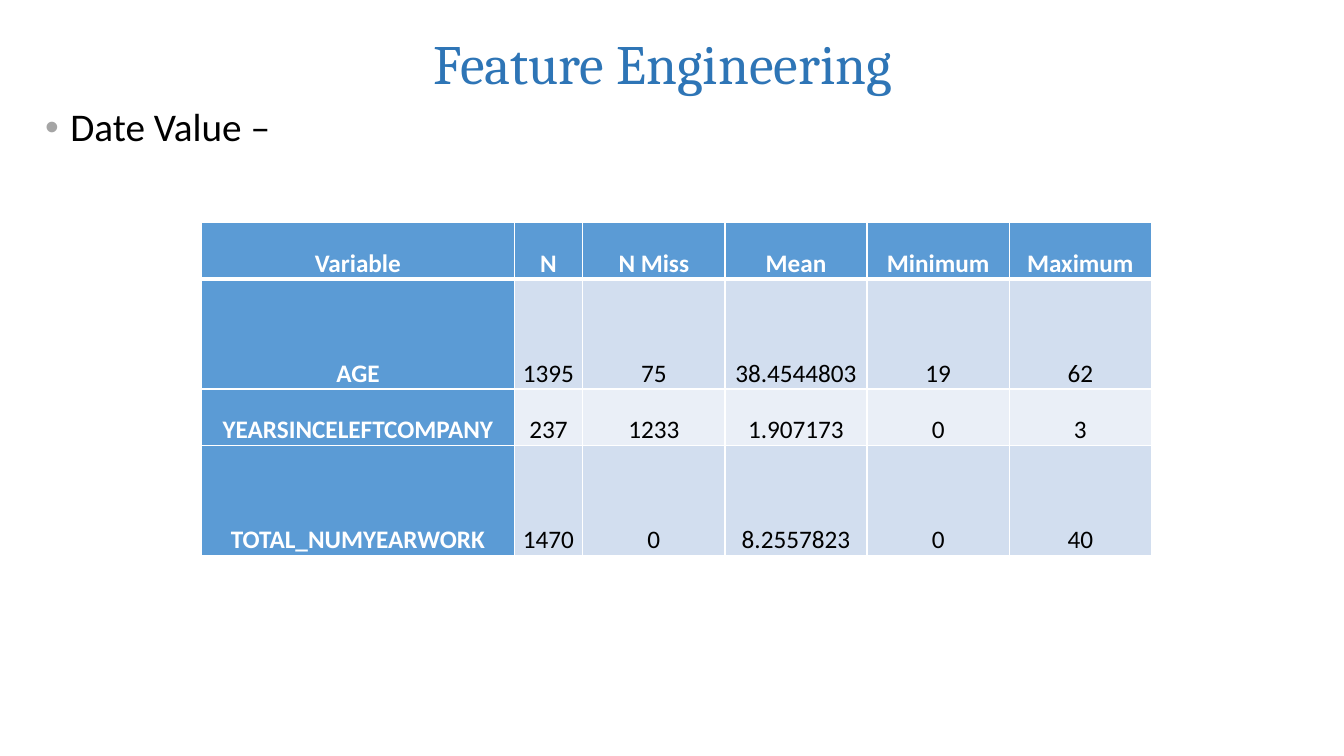
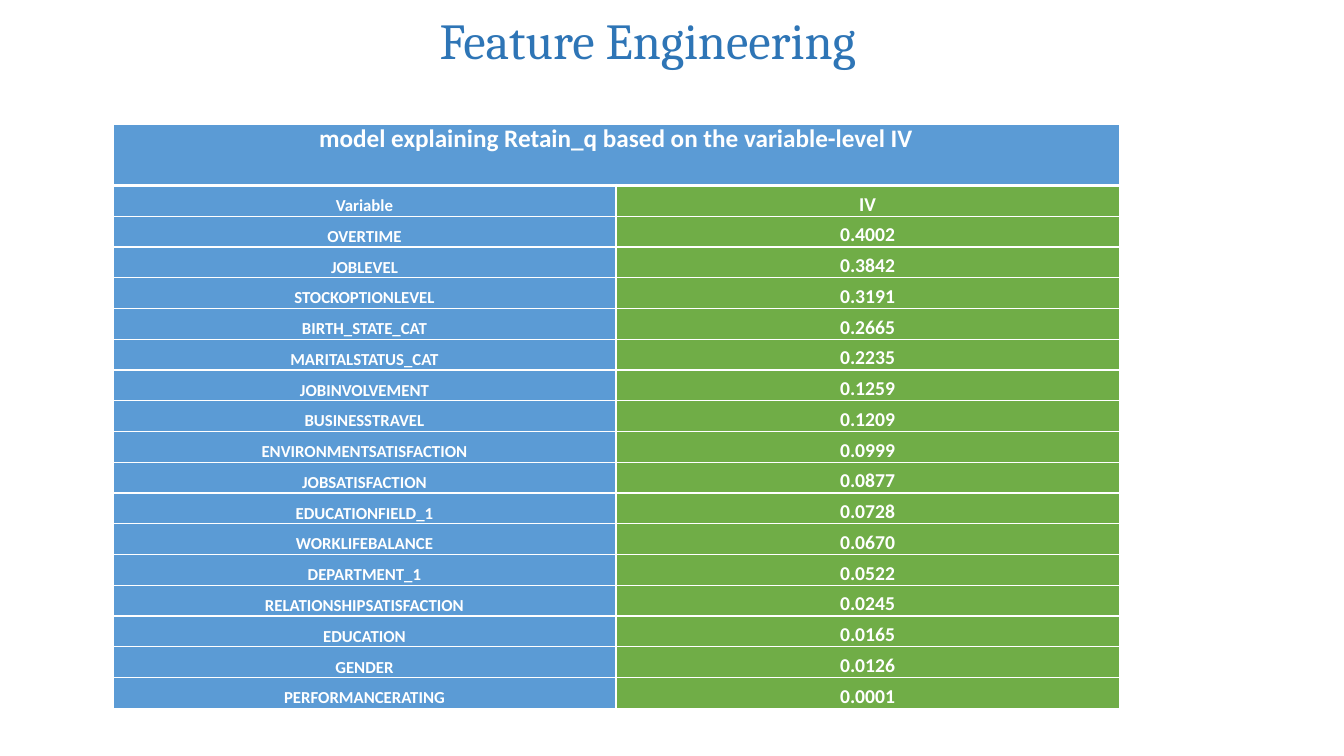
import pptx
import pptx.dml.color
import pptx.enum.text
import pptx.oxml
import pptx.oxml.ns
import pptx.util
from lxml import etree

Inches = pptx.util.Inches
Pt = pptx.util.Pt
Anchor = pptx.enum.text.MSO_ANCHOR
CENTER = pptx.enum.text.PP_ALIGN.CENTER

COLORS = {
    "title": "2E75B6",
    "text": "000000",
    "white": "FFFFFF",
    "bullet": "A5A5A5",
    "blue": "5B9BD5",
    "green": "70AD47",
    "band_dark": "D2DEEF",
    "band_light": "EAEFF7",
}
TITLE = "Feature Engineering"
STATISTICS = [
    ("Variable", "N", "N Miss", "Mean", "Minimum", "Maximum"),
    ("AGE", "1395", "75", "38.4544803", "19", "62"),
    ("YEARSINCELEFTCOMPANY", "237", "1233", "1.907173", "0", "3"),
    ("TOTAL_NUMYEARWORK", "1470", "0", "8.2557823", "0", "40"),
]
INFORMATION_VALUES = [
    ("Variable", "IV"),
    ("OVERTIME", "0.4002"),
    ("JOBLEVEL", "0.3842"),
    ("STOCKOPTIONLEVEL", "0.3191"),
    ("BIRTH_STATE_CAT", "0.2665"),
    ("MARITALSTATUS_CAT", "0.2235"),
    ("JOBINVOLVEMENT", "0.1259"),
    ("BUSINESSTRAVEL", "0.1209"),
    ("ENVIRONMENTSATISFACTION", "0.0999"),
    ("JOBSATISFACTION", "0.0877"),
    ("EDUCATIONFIELD_1", "0.0728"),
    ("WORKLIFEBALANCE", "0.0670"),
    ("DEPARTMENT_1", "0.0522"),
    ("RELATIONSHIPSATISFACTION", "0.0245"),
    ("EDUCATION", "0.0165"),
    ("GENDER", "0.0126"),
    ("PERFORMANCERATING", "0.0001"),
]


def set_values(target, values):
    """Set each named attribute of the target."""
    for name, value in values.items():
        setattr(target, name, value)


def rgb(name):
    """Return the named colour."""
    return pptx.dml.color.RGBColor.from_string(COLORS[name])


def write_text(paragraph, text, size, color, font="Calibri", bold=False, **layout):
    """Write one formatted run and lay out its paragraph."""
    run = paragraph.add_run()
    run.text = text
    set_values(run.font, {"name": font, "size": Pt(size), "bold": bold})
    run.font.color.rgb = rgb(color)
    set_values(paragraph, layout)


def add_titled_slide(presentation, box, size):
    """Add a title-only slide with the shared title style."""
    slide = presentation.slides.add_slide(presentation.slide_layouts[5])
    title = slide.shapes.title
    place = zip(("left", "top", "width", "height"), map(Inches, box))
    set_values(title, dict(place))
    set_values(title.text_frame, {
        "vertical_anchor": Anchor.MIDDLE,
        "auto_size": pptx.enum.text.MSO_AUTO_SIZE.NONE,
        "word_wrap": True,
    })
    write_text(title.text_frame.paragraphs[0], TITLE, size, "title", "Cambria",
               alignment=CENTER, line_spacing=0.9)
    return slide


def add_bullet(slide, box, text):
    """Add a text box with one bulleted paragraph."""
    shape = slide.shapes.add_textbox(*map(Inches, box))
    shape.text_frame.word_wrap = True
    paragraph = shape.text_frame.paragraphs[0]
    write_text(paragraph, text, 28, "text", line_spacing=0.9)
    properties = paragraph._p.get_or_add_pPr()
    properties.set("marL", str(Inches(0.25)))
    properties.set("indent", str(Inches(-0.25)))
    namespace = pptx.oxml.ns.nsdecls("a")
    for markup in (
        f'<a:buClr {namespace}><a:srgbClr val="{COLORS["bullet"]}"/></a:buClr>',
        f'<a:buFont {namespace} typeface="Arial"/>',
        f'<a:buChar {namespace} char="•"/>',
    ):
        properties.append(pptx.oxml.parse_xml(markup))


def set_borders(cell, top, bottom):
    """Draw white borders around a cell."""
    properties = cell._tc.get_or_add_tcPr()
    for side, width in (("L", 1), ("R", 1), ("T", top), ("B", bottom)):
        line = etree.SubElement(properties, pptx.oxml.ns.qn(f"a:ln{side}"), w=str(Pt(width)))
        fill = etree.SubElement(line, pptx.oxml.ns.qn("a:solidFill"))
        etree.SubElement(fill, pptx.oxml.ns.qn("a:srgbClr"), val=COLORS["white"])


def add_grid(slide, position, widths, heights, margin):
    """Add a table with white rules and a heavy line below its first row."""
    frame = slide.shapes.add_table(
        len(heights), len(widths), *map(Inches, (*position, sum(widths), sum(heights))))
    table = frame.table
    table.horz_banding = False
    for column, width in zip(table.columns, widths):
        column.width = Inches(width)
    for index, (row, height) in enumerate(zip(table.rows, heights)):
        row.height = Inches(height)
        for cell in row.cells:
            set_values(cell, {
                "margin_left": Inches(margin),
                "margin_right": Inches(margin),
                "margin_top": 0,
                "margin_bottom": 0,
                "vertical_anchor": Anchor.BOTTOM,
            })
            set_borders(cell, 3 if index == 1 else 1, 3 if index == 0 else 1)
    return table


def fill_cell(cell, text, fill, size, color="white", bold=True, spacing=1.07):
    """Fill a cell with colour and centred text."""
    cell.fill.solid()
    cell.fill.fore_color.rgb = rgb(fill)
    write_text(cell.text_frame.paragraphs[0], text, size, color, bold=bold,
               alignment=CENTER, line_spacing=spacing)


def add_statistics_table(slide):
    """Add the summary statistics of the date variables."""
    table = add_grid(slide, (2, 2.21), [3.1, 0.68] + [1.41] * 4,
                     [0.56, 1.09, 0.56, 1.09], 0.07)
    for row, values in enumerate(STATISTICS):
        band = "band_dark" if row % 2 else "band_light"
        for column, text in enumerate(values):
            if row == 0 or column == 0:
                fill_cell(table.cell(row, column), text, "blue", 18)
            else:
                fill_cell(table.cell(row, column), text, band, 18, "text", False)


def add_information_table(slide):
    """Add the information value of each variable."""
    header_height = 0.61
    count = len(INFORMATION_VALUES)
    row_height = (5.8 - header_height) / count
    table = add_grid(slide, (1.12, 1.23), [4.99] * 2,
                     [header_height] + [row_height] * count, 0.03)
    header = table.cell(0, 0)
    header.merge(table.cell(0, 1))
    header.vertical_anchor = Anchor.TOP
    fill_cell(header, "model explaining Retain_q based on the variable-level IV",
              "blue", 18, spacing=1.0)
    for row, (variable, value) in enumerate(INFORMATION_VALUES, 1):
        fill_cell(table.cell(row, 0), variable, "blue", 12)
        fill_cell(table.cell(row, 1), value, "green", 14)


def main():
    """Build and save the presentation."""
    presentation = pptx.Presentation()
    set_values(presentation, {"slide_width": Inches(13.33), "slide_height": Inches(7.5)})
    slide = add_titled_slide(presentation, (0.74, 0.29, 11.67, 0.73), 39.6)
    add_bullet(slide, (0.35, 1.02, 12.66, 6.35), "Date Value –")
    add_statistics_table(slide)
    slide = add_titled_slide(presentation, (0.43, 0.18, 11.99, 0.49), 36)
    add_information_table(slide)
    presentation.save("out.pptx")


if __name__ == "__main__":
    main()
